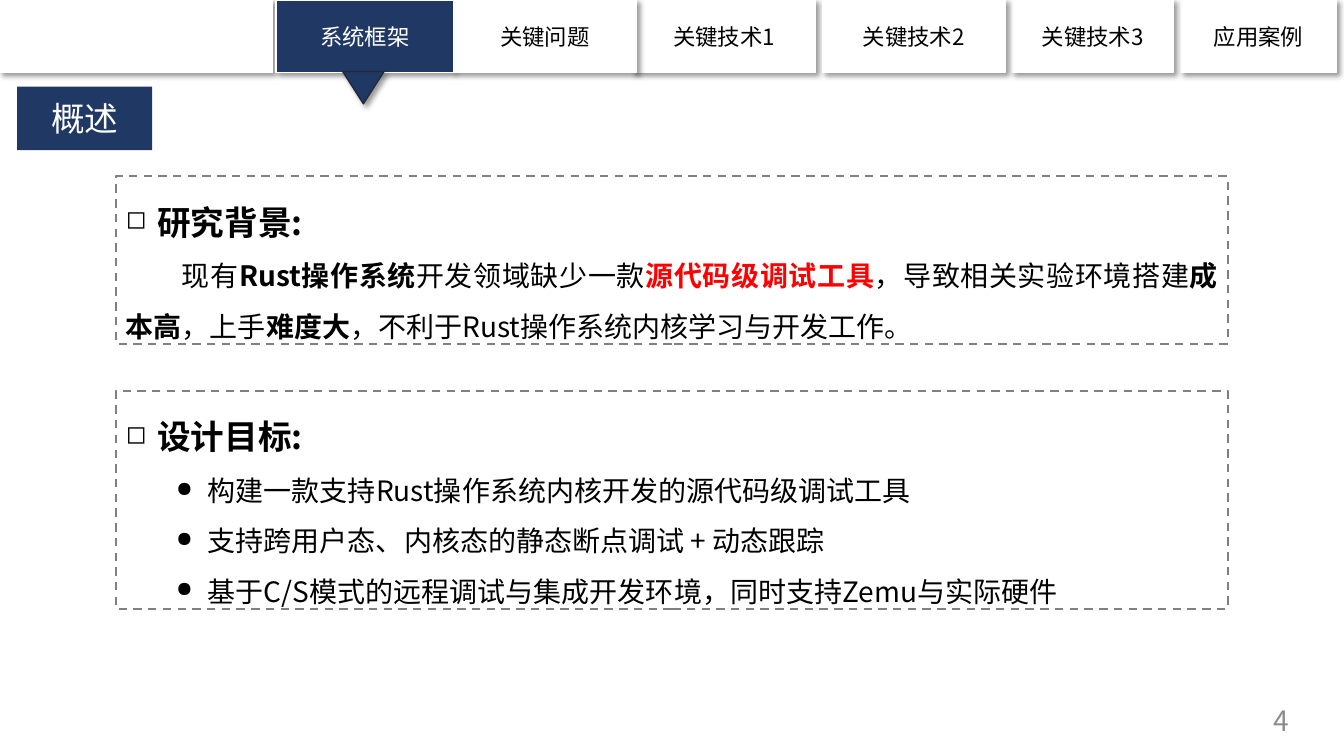
import dataclasses
import typing

import pptx
import pptx.dml.color
import pptx.enum.dml
import pptx.enum.shapes
import pptx.enum.text
import pptx.oxml
import pptx.oxml.ns
import pptx.util

Pt = pptx.util.Pt
RGB = pptx.dml.color.RGBColor
Kind = pptx.enum.shapes.MSO_SHAPE
Align = pptx.enum.text.PP_ALIGN
Anchor = pptx.enum.text.MSO_ANCHOR

WHITE = RGB(0xFF, 0xFF, 0xFF)
BLACK = RGB(0, 0, 0)
NAVY = RGB(0x20, 0x38, 0x64)
SLATE = RGB(0x22, 0x2A, 0x35)
GRAY = RGB(0x80, 0x80, 0x80)
PALE = RGB(0x8C, 0x8C, 0x8C)
RED = RGB(0xFF, 0, 0)

SANS = "Noto Sans CJK SC"
SERIF = "Times New Roman"
NS = pptx.oxml.ns.nsdecls("a")
SHADOW = (
    f'<a:effectLst {NS}><a:outerShdw blurRad="{Pt(4)}" dist="{Pt(3)}" dir="2700000" '
    'algn="tl" rotWithShape="0"><a:srgbClr val="000000"><a:alpha val="40000"/>'
    '</a:srgbClr></a:outerShdw></a:effectLst>'
)


@dataclasses.dataclass
class Tab:
    left: float
    width: float
    text: str = ""
    live: bool = False


@dataclasses.dataclass
class Run:
    text: str
    bold: bool = False
    color: RGB = BLACK


@dataclasses.dataclass
class Para:
    runs: list[Run]
    size: float = 20
    margin: float = 0
    indent: float = 0
    bullet: str = ""
    level: int = 0


@dataclasses.dataclass
class Panel:
    top: float
    height: float
    paras: list[Para]


def head(text: str) -> Para:
    return Para([Run(text, True)], 24, 22.5, -22.5, "◻")


def item(text: str) -> Para:
    return Para([Run(text)], 20, 58.5, -22.5, "●", 1)


TABS = [
    Tab(0, 194.4),
    Tab(843.12, 111.6, "应用案例"),
    Tab(722.88, 115.2, "关键技术3"),
    Tab(452.16, 130.32, "关键技术1"),
    Tab(197.28, 126.72, "系统框架", True),
    Tab(324, 130.32, "关键问题"),
    Tab(587.52, 130.32, "关键技术2"),
]
PANELS = [
    Panel(126, 119.52, [
        head("研究背景:"),
        Para([
            Run("现有"),
            Run("Rust操作系统", True),
            Run("开发领域缺少一款"),
            Run("源代码级调试工具", True, RED),
            Run("，导致相关实验环境搭建"),
            Run("成本高", True),
            Run("，上手"),
            Run("难度大", True),
            Run("，不利于Rust操作系统内核学习与开发工作。"),
        ], indent=40),
    ]),
    Panel(279.36, 155.52, [
        head("设计目标:"),
        item("构建一款支持Rust操作系统内核开发的源代码级调试工具"),
        item("支持跨用户态、内核态的静态断点调试 + 动态跟踪"),
        item("基于C/S模式的远程调试与集成开发环境，同时支持Zemu与实际硬件"),
    ]),
]


def apply(obj: typing.Any, form: dict[str, typing.Any]) -> None:
    for name, value in form.items():
        setattr(obj, name, value)


def write(para: typing.Any, text: str, size: float, color: RGB,
          bold: bool = False, face: str = SANS) -> None:
    run = para.add_run()
    run.text = text
    apply(run.font, {"size": Pt(size), "bold": bold, "name": face})
    run.font.color.rgb = color
    east = pptx.oxml.parse_xml(f'<a:ea {NS} typeface="{SANS}"/>')
    run.font._element.find(pptx.oxml.ns.qn("a:latin")).addnext(east)


def label(shape: typing.Any, text: str, size: float, color: RGB,
          align: Align = Align.CENTER, wrap: bool = True, face: str = SANS) -> None:
    """Put one line of text, centred in height, into a shape."""
    frame = shape.text_frame
    apply(frame, {"word_wrap": wrap, "vertical_anchor": Anchor.MIDDLE})
    para = frame.paragraphs[0]
    para.alignment = align
    write(para, text, size, color, face=face)


def block(slide: typing.Any, kind: Kind, box: tuple[float, ...],
          fill: RGB, line: RGB) -> typing.Any:
    """Add a filled shape with a soft shadow."""
    shape = slide.shapes.add_shape(kind, *map(Pt, box))
    shape.fill.solid()
    shape.fill.fore_color.rgb = fill
    shape.line.color.rgb = line
    shape.line.width = Pt(1)
    shape._element.spPr.append(pptx.oxml.parse_xml(SHADOW))
    return shape


def draw_tab(slide: typing.Any, tab: Tab) -> None:
    fill, ink = (NAVY, WHITE) if tab.live else (WHITE, BLACK)
    shape = block(slide, Kind.RECTANGLE, (tab.left, 0, tab.width, 51.84), fill, WHITE)
    if tab.text:
        label(shape, tab.text, 16, ink)


def draw_para(para: typing.Any, data: Para) -> None:
    apply(para, {"alignment": Align.JUSTIFY, "line_spacing": 1.5, "level": data.level})
    props = para._p.get_or_add_pPr()
    props.set("marL", str(Pt(data.margin)))
    props.set("indent", str(Pt(data.indent)))
    if data.bullet:
        props.append(pptx.oxml.parse_xml(f'<a:buSzPct {NS} val="75000"/>'))
        props.append(pptx.oxml.parse_xml(f'<a:buChar {NS} char="{data.bullet}"/>'))
    for run in data.runs:
        write(para, run.text, data.size, run.color, run.bold)


def draw_panel(slide: typing.Any, panel: Panel) -> None:
    box = (82.8, panel.top, 794.16, panel.height)
    shape = slide.shapes.add_shape(Kind.RECTANGLE, *map(Pt, box))
    shape.shadow.inherit = False
    shape.fill.background()
    shape.line.color.rgb = GRAY
    apply(shape.line, {"width": Pt(1.5), "dash_style": pptx.enum.dml.MSO_LINE.DASH})
    frame = shape.text_frame
    apply(frame, {"word_wrap": True, "vertical_anchor": Anchor.TOP,
                  "auto_size": pptx.enum.text.MSO_AUTO_SIZE.SHAPE_TO_FIT_TEXT})
    for i, data in enumerate(panel.paras):
        draw_para(frame.add_paragraph() if i else frame.paragraphs[0], data)


def main() -> None:
    deck = pptx.Presentation()
    apply(deck, {"slide_width": Pt(960), "slide_height": Pt(540)})
    slide = deck.slides.add_slide(deck.slide_layouts[5])

    title = slide.shapes.title
    apply(title, {"left": Pt(12.24), "top": Pt(61.92), "width": Pt(96.48), "height": Pt(45.36)})
    title.fill.solid()
    title.fill.fore_color.rgb = NAVY
    label(title, "概述", 24, WHITE, wrap=False, face=SERIF)

    for tab in TABS:
        draw_tab(slide, tab)
    arrow = block(slide, Kind.ISOSCELES_TRIANGLE, (244.8, 51.12, 29.52, 23.04), NAVY, SLATE)
    arrow.rotation = 180
    for panel in PANELS:
        draw_panel(slide, panel)

    number = slide.shapes.add_textbox(Pt(712.08), Pt(500.4), Pt(216), Pt(28.8))
    label(number, "4", 20, PALE, Align.RIGHT)
    deck.save("out.pptx")


if __name__ == "__main__":
    main()
